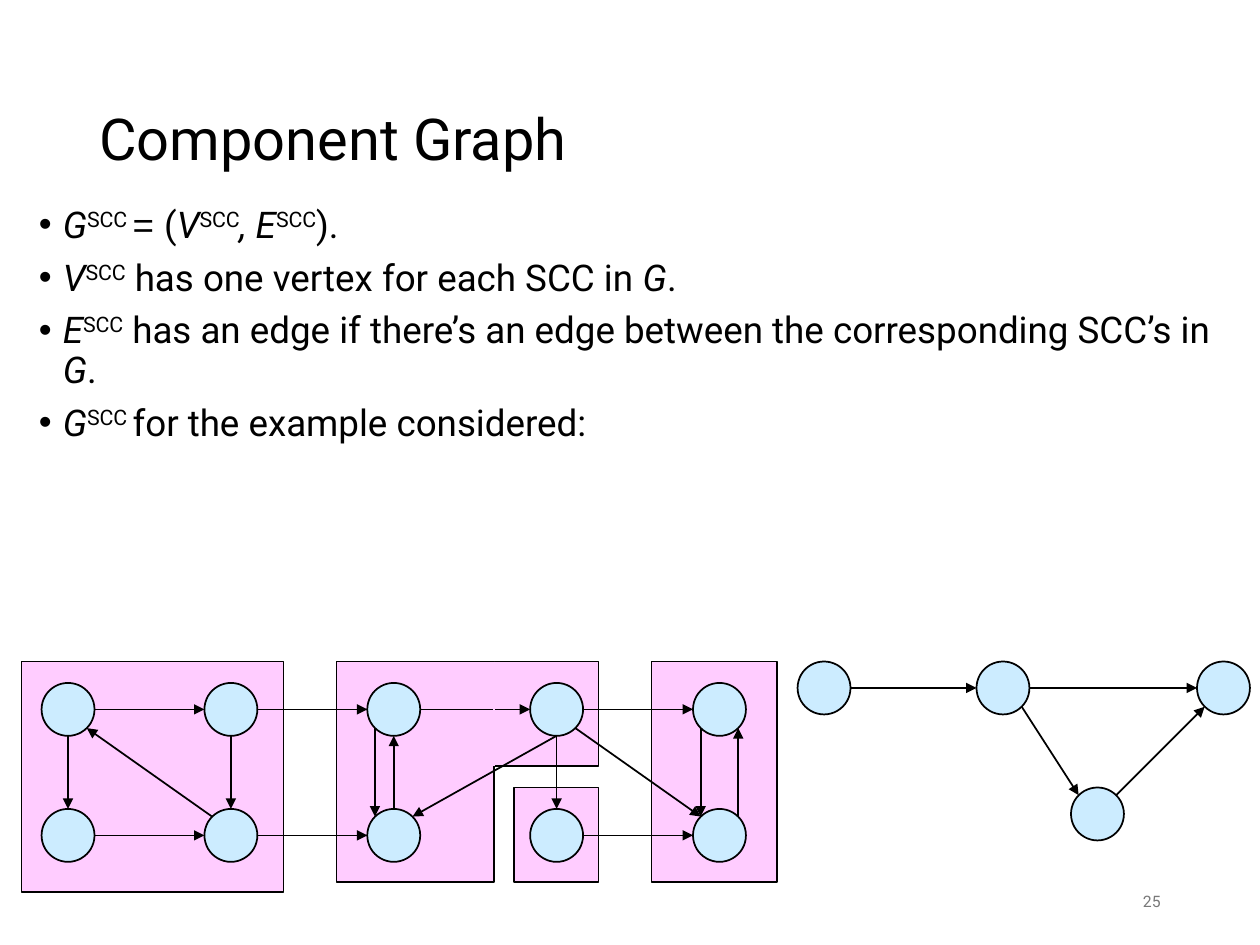
from dataclasses import dataclass

from lxml import etree
from pptx import Presentation
from pptx.dml.color import RGBColor
from pptx.enum.shapes import MSO_CONNECTOR, MSO_SHAPE
from pptx.enum.text import MSO_ANCHOR, PP_ALIGN
from pptx.oxml.ns import qn
from pptx.util import Inches, Pt

OVAL, RECT = MSO_SHAPE.OVAL, MSO_SHAPE.RECTANGLE
STRAIGHT = MSO_CONNECTOR.STRAIGHT
TOP, MIDDLE = MSO_ANCHOR.TOP, MSO_ANCHOR.MIDDLE
LEFT, RIGHT = PP_ALIGN.LEFT, PP_ALIGN.RIGHT


@dataclass(frozen=True)
class Theme:
    font: str = "Roboto"
    symbol_font: str = "Arial"
    ink: str = "000000"
    muted: str = "797979"
    vertex: str = "CCECFF"
    component: str = "FFCCFF"
    title_size: float = 33
    body_size: float = 21
    number_size: float = 9
    line_width: float = 1


THEME = Theme()
DIAMETER = 0.42
DIAGONAL = 0.71
PORTS = {
    "n": (0, -1), "s": (0, 1), "e": (1, 0), "w": (-1, 0),
    "nw": (-DIAGONAL, -DIAGONAL), "ne": (DIAGONAL, -DIAGONAL),
    "sw": (-DIAGONAL, DIAGONAL), "se": (DIAGONAL, DIAGONAL),
}

SCC = ("SCC", "super")
STATEMENTS = [
    [("G", "italic"), ("SCC ", "super"), ("= ", "symbol"), ("(", ""), ("V", "italic"),
     SCC, (", E", "italic"), SCC, (").", "")],
    [("V", "italic"), SCC, (" has one vertex for each SCC in ", ""), ("G", "italic"), (".", "")],
    [("E", "italic"), SCC,
     (" has an edge if there’s an edge between the corresponding SCC’s in ", ""),
     ("G", "italic"), (".", "")],
    [("G", "italic"), ("SCC ", "super"), ("for the example considered:", "")],
]

COMPONENT_BOXES = [
    (3.91, 1, 0.67, 0.75),
    (5, 0, 1, 1.75),
    (3.75, 0, 0.83, 0.83),
    (2.5, 0, 1.25, 1.75),
    (0, 0, 2.08, 1.83),
]
EXAMPLE_EDGES = [
    ("a", "e", "b", "w"), ("a", "s", "f", "n"), ("b", "s", "g", "n"),
    ("f", "e", "g", "w"), ("g", "nw", "a", "se"), ("c", "e", "d", "w"),
    ("d", "s", "h", "ne"), ("h", "n", "c", "s"), ("c", "sw", "h", "nw"),
    ("d", "s", "i", "n"), ("e", "sw", "j", "nw"), ("j", "ne", "e", "se"),
    ("d", "e", "e", "w"), ("d", "se", "j", "nw"), ("i", "e", "j", "w"),
    ("b", "e", "c", "w"), ("g", "e", "h", "w"),
]
COMPONENT_VERTICES = {"abfg": (0, 0), "cdh": (1.42, 0), "ej": (3.17, 0), "i": (2.17, 1)}
COMPONENT_EDGES = [
    ("abfg", "e", "cdh", "w"), ("cdh", "e", "ej", "w"),
    ("cdh", "se", "i", "nw"), ("i", "ne", "ej", "sw"),
]


def add_text(slide, box, paragraphs, *, size, color=THEME.ink, anchor=TOP, align=LEFT,
             line_spacing=None, space_before=0, bullet=None, indent=0):
    frame = slide.shapes.add_textbox(*map(Inches, box)).text_frame
    frame.word_wrap = True
    frame.vertical_anchor = anchor
    for index, runs in enumerate(paragraphs):
        paragraph = frame.add_paragraph() if index else frame.paragraphs[0]
        paragraph.alignment = align
        paragraph.line_spacing = line_spacing
        paragraph.space_before = Pt(space_before)
        if bullet:
            properties = paragraph._p.get_or_add_pPr()
            properties.set("marL", str(Inches(indent)))
            properties.set("indent", str(-Inches(indent)))
            etree.SubElement(properties, qn("a:buFont")).set("typeface", THEME.symbol_font)
            etree.SubElement(properties, qn("a:buChar")).set("char", bullet)
        for wording, style in runs:
            run = paragraph.add_run()
            run.text = wording
            run.font.size = Pt(size)
            run.font.name = THEME.symbol_font if style == "symbol" else THEME.font
            run.font.color.rgb = RGBColor.from_string(color)
            run.font.italic = style == "italic"
            if style == "super":
                run._r.get_or_add_rPr().set("baseline", "30000")


def add_outlined(group, preset, box, fill):
    shape = group.shapes.add_shape(preset, *map(Inches, box))
    shape.shadow.inherit = False
    shape.fill.solid()
    shape.fill.fore_color.rgb = RGBColor.from_string(fill)
    shape.line.color.rgb = RGBColor.from_string(THEME.ink)
    shape.line.width = Pt(THEME.line_width)


def add_line(group, start, end, color=THEME.ink, arrow=True):
    line = group.shapes.add_connector(STRAIGHT, *map(Inches, (*start, *end)))
    line.line.color.rgb = RGBColor.from_string(color)
    line.line.width = Pt(THEME.line_width)
    if arrow:
        etree.SubElement(line.line._get_or_add_ln(), qn("a:tailEnd")).set("type", "triangle")
    etree.SubElement(line._element.spPr, qn("a:effectLst"))


def port_position(origin, direction):
    radius = DIAMETER / 2
    return [corner + radius * (1 + step) for corner, step in zip(origin, PORTS[direction])]


def add_graph(group, box, vertices, edges):
    left, top = box[:2]
    placed = {name: (left + x, top + y) for name, (x, y) in vertices.items()}
    for origin in placed.values():
        add_outlined(group, OVAL, (*origin, DIAMETER, DIAMETER), THEME.vertex)
    for source, exit_port, target, entry_port in edges:
        add_line(group, port_position(placed[source], exit_port),
                 port_position(placed[target], entry_port))


def add_component_graph(slide, box):
    add_graph(slide.shapes.add_group_shape(), box, COMPONENT_VERTICES, COMPONENT_EDGES)


def add_example_graph(slide, box):
    left, top, width, _ = box
    group = slide.shapes.add_group_shape()
    for x, y, box_width, box_height in COMPONENT_BOXES:
        add_outlined(group, RECT, (left + x, top + y, box_width, box_height), THEME.component)
    margin = 0.16
    column_step = (width - 0.67 - margin) / 4
    vertices = {
        name: (margin + column * column_step, 0.17 + row)
        for row, names in enumerate(("abcde", "fghij"))
        for column, name in enumerate(names)
    }
    add_graph(group, box, vertices, EXAMPLE_EDGES)
    seam = left + 3.75
    add_line(group, (seam, top), (seam, top + 0.83), color=THEME.component, arrow=False)


def add_heading(slide, box):
    add_text(slide, box, [[("Component Graph", "")]], size=THEME.title_size,
             anchor=MIDDLE, line_spacing=0.9)


def add_statements(slide, box):
    add_text(slide, box, STATEMENTS, size=THEME.body_size, line_spacing=0.9,
             space_before=7.5, bullet="•", indent=0.19)


def add_page_number(slide, box):
    add_text(slide, box, [[("25", "")]], size=THEME.number_size, color=THEME.muted,
             anchor=MIDDLE, align=RIGHT)


def main():
    presentation = Presentation()
    presentation.slide_width, presentation.slide_height = Inches(10), Inches(7.5)
    slide = presentation.slides.add_slide(presentation.slide_layouts[6])
    add_heading(slide, (0.69, 0.4, 8.62, 1.45))
    add_statements(slide, (0.21, 1.59, 9.79, 5.6))
    add_page_number(slide, (7.06, 6.95, 2.25, 0.4))
    add_component_graph(slide, (6.33, 5.25, 3.59, 1.42))
    add_example_graph(slide, (0.17, 5.25, 6, 1.83))
    presentation.save("out.pptx")


if __name__ == "__main__":
    main()
